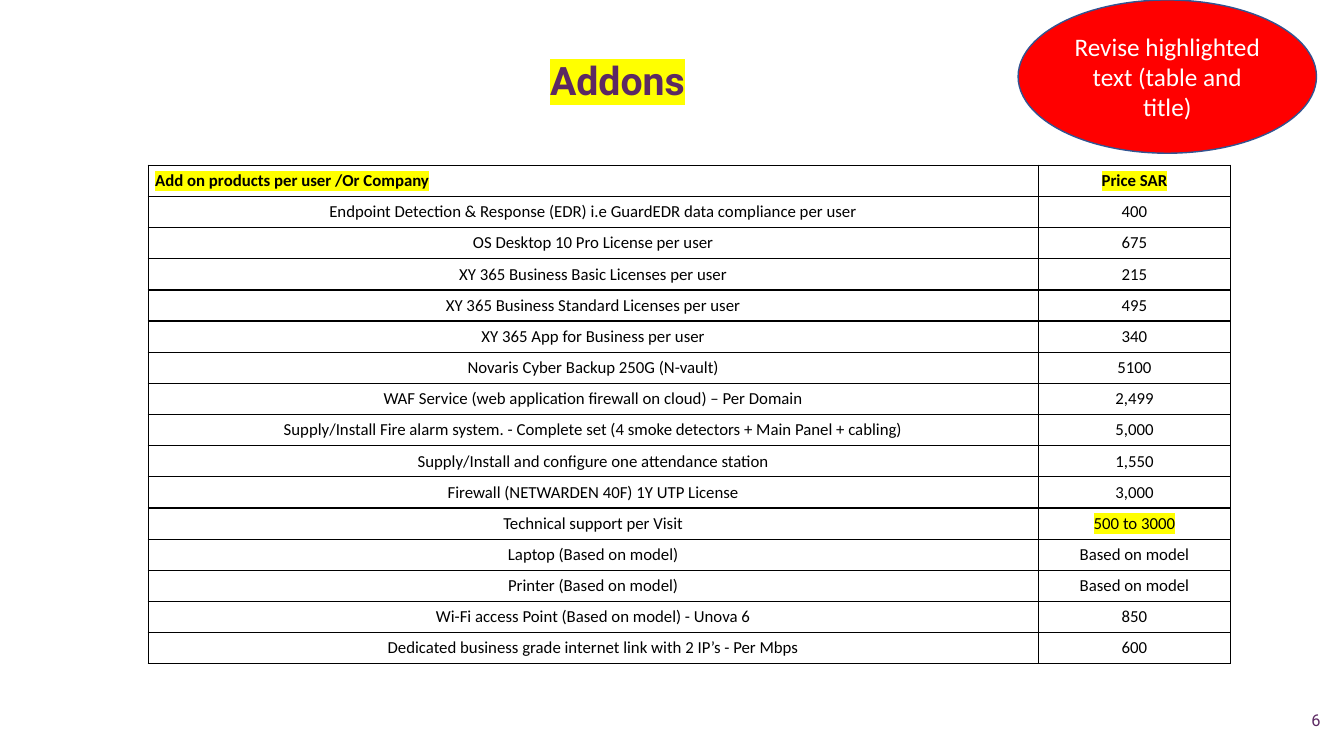
"""Build the add-on price list slide."""
from dataclasses import dataclass
from typing import NamedTuple

from lxml import etree
from pptx import Presentation
from pptx import util as u
from pptx.dml.color import RGBColor
from pptx.enum import shapes, text
from pptx.oxml import ns

SLIDE_WIDTH, SLIDE_HEIGHT = u.Inches(13.33), u.Inches(7.5)
GRID_COLUMNS, GRID_ROWS = 160, 90


@dataclass(frozen=True)
class Theme:
    """Colours, fonts and type sizes of the slide."""
    purple: str = "5C2963"
    yellow: str = "FFFF00"
    red: str = "FF0000"
    blue: str = "325491"
    black: str = "000000"
    white: str = "FFFFFF"
    heading_font: str = "Roboto"
    body_font: str = "Calibri"
    title_size: float = 28
    callout_size: float = 18
    table_size: float = 12
    number_size: float = 11.7
    line_width: float = 1


class Area(NamedTuple):
    """Place on the slide in grid columns and rows."""
    column: float
    row: float
    columns: float
    rows: float


class Product(NamedTuple):
    """One line of the price list."""
    name: str
    price: str
    price_marked: bool = False


THEME = Theme()
TITLE_AREA = Area(61.68, 6.12, 23.64, 6.84)
NUMBER_AREA = Area(153.36, 82.92, 6.6, 4.56)
TABLE_AREA = Area(17.64, 19.68, 128.88, 59.4)
CALLOUT_AREA = Area(121.2, 0, 35.52, 18.24)
PRICE_COLUMNS = 22.92
HEADER = Product("Add on products per user /Or Company", "Price SAR", True)
PRODUCTS = [
    Product("Endpoint Detection & Response (EDR) i.e GuardEDR data compliance per user", "400"),
    Product("OS Desktop 10 Pro License per user", "675"),
    Product("XY 365 Business Basic Licenses per user", "215"),
    Product("XY 365 Business Standard Licenses per user", "495"),
    Product("XY 365 App for Business per user", "340"),
    Product("Novaris Cyber Backup 250G (N-vault)", "5100"),
    Product("WAF Service (web application firewall on cloud) – Per Domain", "2,499"),
    Product("Supply/Install Fire alarm system. - Complete set "
            "(4 smoke detectors + Main Panel + cabling)", "5,000"),
    Product("Supply/Install and configure one attendance station", "1,550"),
    Product("Firewall (NETWARDEN 40F) 1Y UTP License", "3,000"),
    Product("Technical support per Visit", "500 to 3000", True),
    Product("Laptop (Based on model)", "Based on model"),
    Product("Printer (Based on model)", "Based on model"),
    Product("Wi-Fi access Point (Based on model) - Unova 6", "850"),
    Product("Dedicated business grade internet link with 2 IP’s - Per Mbps", "600"),
]


def across(columns: float) -> int:
    """Turn grid columns into a length."""
    return round(SLIDE_WIDTH * columns / GRID_COLUMNS)


def down(rows: float) -> int:
    """Turn grid rows into a length."""
    return round(SLIDE_HEIGHT * rows / GRID_ROWS)


def place(area: Area) -> tuple[int, int, int, int]:
    """Turn a grid area into left, top, width and height."""
    return across(area.column), down(area.row), across(area.columns), down(area.rows)


def write(frame, words: str, *, size: float, color: str, font: str,
          bold: bool = False, marked: bool = False,
          align=text.PP_ALIGN.CENTER, spacing: float = 1.0) -> None:
    """Write one formatted paragraph into a text frame."""
    frame.word_wrap = True
    paragraph = frame.paragraphs[0]
    paragraph.alignment = align
    paragraph.line_spacing = spacing
    run = paragraph.add_run()
    run.text = words
    run.font.size = u.Pt(size)
    run.font.bold = bold
    run.font.color.rgb = RGBColor.from_string(color)
    if marked:
        highlight = etree.SubElement(run.font._element, ns.qn("a:highlight"))
        etree.SubElement(highlight, ns.qn("a:srgbClr"), val=THEME.yellow)
    run.font.name = font


def add_label(slide, area: Area, words: str, *,
              anchor=text.MSO_ANCHOR.TOP, **style) -> None:
    """Add a text box with one formatted paragraph."""
    frame = slide.shapes.add_textbox(*place(area)).text_frame
    frame.vertical_anchor = anchor
    write(frame, words, **style)


def add_borders(cell) -> None:
    """Draw a solid line on every side of a cell."""
    properties = cell._tc.get_or_add_tcPr()
    for index, side in enumerate(("lnL", "lnR", "lnT", "lnB")):
        line = etree.Element(ns.qn(f"a:{side}"), w=str(u.Pt(THEME.line_width)))
        fill = etree.SubElement(line, ns.qn("a:solidFill"))
        etree.SubElement(fill, ns.qn("a:srgbClr"), val=THEME.black)
        properties.insert(index, line)


def fill_cell(cell, words: str, **style) -> None:
    """Format a table cell and write its text."""
    cell.margin_left = cell.margin_right = u.Inches(0.07)
    cell.margin_top = cell.margin_bottom = 0
    cell.vertical_anchor = text.MSO_ANCHOR.MIDDLE
    cell.fill.background()
    add_borders(cell)
    write(cell.text_frame, words, size=THEME.table_size, color=THEME.black,
          font=THEME.body_font, **style)


def add_price_table(slide) -> None:
    """Add the table of products and prices."""
    lines = [HEADER, *PRODUCTS]
    table = slide.shapes.add_table(len(lines), 2, *place(TABLE_AREA)).table
    table.first_row = table.horz_banding = False
    table.columns[0].width = across(TABLE_AREA.columns - PRICE_COLUMNS)
    table.columns[1].width = across(PRICE_COLUMNS)
    for index, product in enumerate(lines):
        header = product is HEADER
        table.rows[index].height = down(TABLE_AREA.rows / len(lines))
        fill_cell(table.cell(index, 0), product.name, bold=header, marked=header,
                  align=text.PP_ALIGN.LEFT if header else text.PP_ALIGN.CENTER)
        fill_cell(table.cell(index, 1), product.price, bold=header,
                  marked=product.price_marked)


def add_callout(slide) -> None:
    """Add the red review note."""
    shape = slide.shapes.add_shape(shapes.MSO_SHAPE.OVAL, *place(CALLOUT_AREA))
    shape.shadow.inherit = False
    shape.fill.solid()
    shape.fill.fore_color.rgb = RGBColor.from_string(THEME.red)
    shape.line.color.rgb = RGBColor.from_string(THEME.blue)
    shape.line.width = u.Pt(THEME.line_width)
    shape.text_frame.vertical_anchor = text.MSO_ANCHOR.MIDDLE
    write(shape.text_frame, "Revise highlighted text (table and title)",
          size=THEME.callout_size, color=THEME.white, font=THEME.body_font)


def main() -> None:
    """Build and save the presentation."""
    presentation = Presentation()
    presentation.slide_width, presentation.slide_height = SLIDE_WIDTH, SLIDE_HEIGHT
    slide = presentation.slides.add_slide(presentation.slide_layouts[6])
    add_label(slide, NUMBER_AREA, "6", anchor=text.MSO_ANCHOR.BOTTOM, spacing=0.9,
              size=THEME.number_size, color=THEME.purple, font=THEME.heading_font)
    add_label(slide, TITLE_AREA, "Addons", bold=True, marked=True,
              size=THEME.title_size, color=THEME.purple, font=THEME.heading_font)
    add_price_table(slide)
    add_callout(slide)
    presentation.save("out.pptx")


main()
